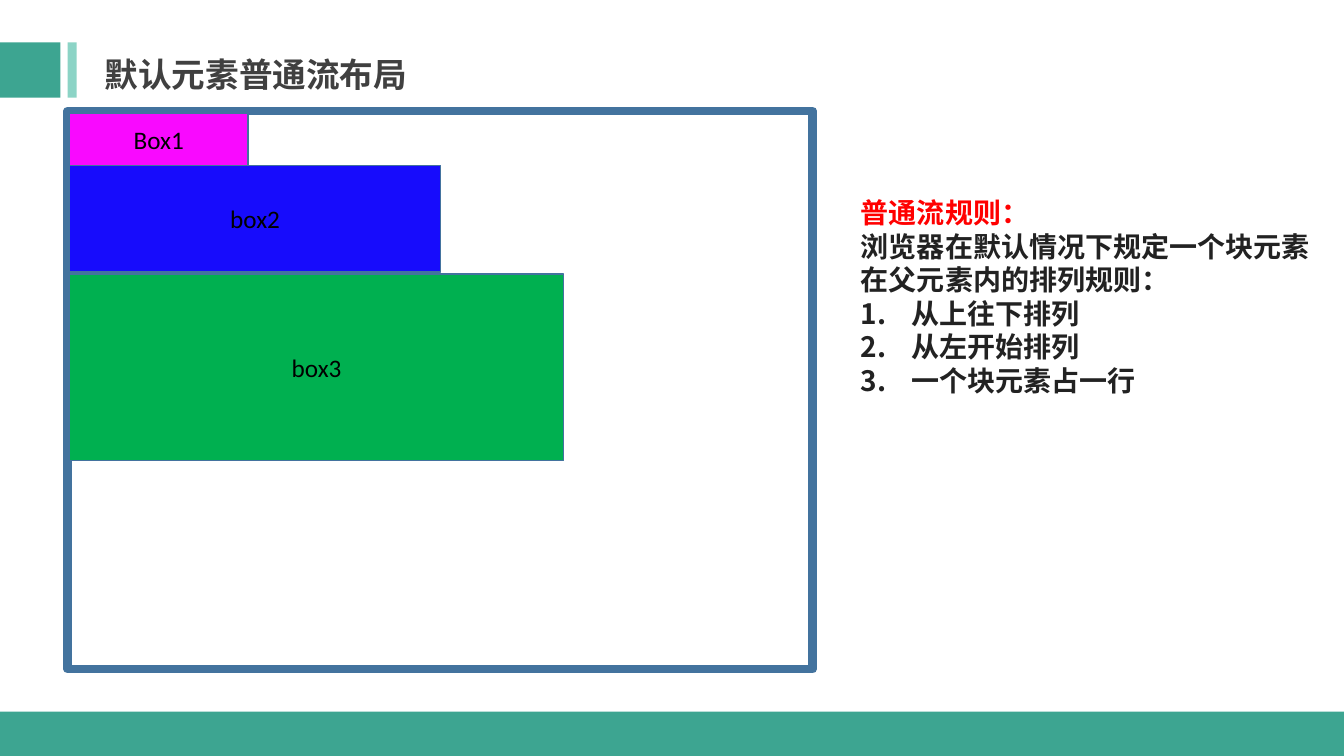
from dataclasses import dataclass

from lxml import etree
from pptx import Presentation
from pptx import util as u
from pptx.dml.color import RGBColor
from pptx.enum import shapes, text
from pptx.oxml import ns

SCALE = 9144  # EMU per px, 100 px to the inch
SANS = "Noto Sans CJK SC"
HUES = {
    "teal": "3DA591", "mint": "8CD4C6", "white": "FFFFFF", "edge": "43739E",
    "pink": "F909FF", "blue": "170CFC", "green": "00B050",
    "black": "000000", "gray": "404040", "ink": "222222", "red": "FF0000",
}


@dataclass
class Block:
    left: int
    top: int
    width: int
    height: int
    fill: str | None = None
    line: int = 0
    label: str = ""


def px(n: int) -> u.Emu:
    return u.Emu(n * SCALE)


def hue(name: str) -> RGBColor:
    return RGBColor.from_string(HUES[name])


def draw(slide, block: Block):
    """Draw a rectangle with its label, if any."""
    shape = slide.shapes.add_shape(
        shapes.MSO_SHAPE.RECTANGLE,
        px(block.left), px(block.top), px(block.width), px(block.height))
    shape.shadow.inherit = False
    if block.fill:
        shape.fill.solid()
        shape.fill.fore_color.rgb = hue(block.fill)
    else:
        shape.fill.background()
    if block.line:
        shape.line.color.rgb = hue("edge")
        shape.line.width = u.Pt(block.line)
    else:
        shape.line.fill.background()
    if block.label:
        write(shape.text_frame.paragraphs[0], block.label,
              align=text.PP_ALIGN.CENTER)
    return shape


def write(para, words: str, *, size: int = 18, font: str = "Calibri",
          color: str = "black", bold: bool = False, pitch: int = 0,
          align=text.PP_ALIGN.LEFT, number: bool = False) -> None:
    """Fill a paragraph; pitch is a fixed line height in points."""
    para.alignment = align
    if pitch:
        para.line_spacing = u.Pt(pitch)
    if number:
        props = para._p.get_or_add_pPr()
        props.set("marL", str(px(50)))
        props.set("indent", str(-px(50)))
        mark = etree.SubElement(props, ns.qn("a:buFont"))
        mark.set("typeface", font)
        etree.SubElement(props, ns.qn("a:buAutoNum")).set("type", "arabicPeriod")
    run = para.add_run()
    run.text = words
    run.font.size = u.Pt(size)
    run.font.bold = bold
    run.font.name = font
    run.font.color.rgb = hue(color)
    east = etree.SubElement(run._r.get_or_add_rPr(), ns.qn("a:ea"))
    east.set("typeface", font)


def main() -> None:
    deck = Presentation()
    deck.slide_width, deck.slide_height = px(1333), px(750)
    slide = deck.slides.add_slide(deck.slide_layouts[6])

    # Header
    draw(slide, Block(0, 42, 60, 55, "teal"))
    draw(slide, Block(67, 42, 9, 55, "mint"))
    title = draw(slide, Block(94, 47, 573, 50, "white")).text_frame
    title.vertical_anchor = text.MSO_ANCHOR.TOP
    write(title.paragraphs[0], "默认元素普通流布局", size=24, font=SANS,
          color="gray", bold=True, pitch=30)

    # Footer, parent frame and the boxes flowing inside it
    for block in (
        Block(0, 706, 1333, 44, "teal"),
        Block(67, 110, 739, 554, line=6),
        Block(69, 112, 177, 53, "pink", 1, "Box1"),
        Block(69, 164, 368, 106, "blue", 1, "box2"),
        Block(69, 272, 490, 185, "green", 1, "box3"),
    ):
        draw(slide, block)

    # Rules
    rules = slide.shapes.add_textbox(px(844), px(189), px(489), px(212)).text_frame
    rules.word_wrap = True
    lines = (
        ("普通流规则：", "red", False),
        ("浏览器在默认情况下规定一个块元素在父元素内的排列规则：", "ink", False),
        ("从上往下排列", "ink", True),
        ("从左开始排列", "ink", True),
        ("一个块元素占一行", "ink", True),
    )
    for i, (words, color, number) in enumerate(lines):
        para = rules.add_paragraph() if i else rules.paragraphs[0]
        write(para, words, size=20, font=SANS, color=color, bold=True,
              pitch=24, number=number)

    deck.save("out.pptx")


if __name__ == "__main__":
    main()
